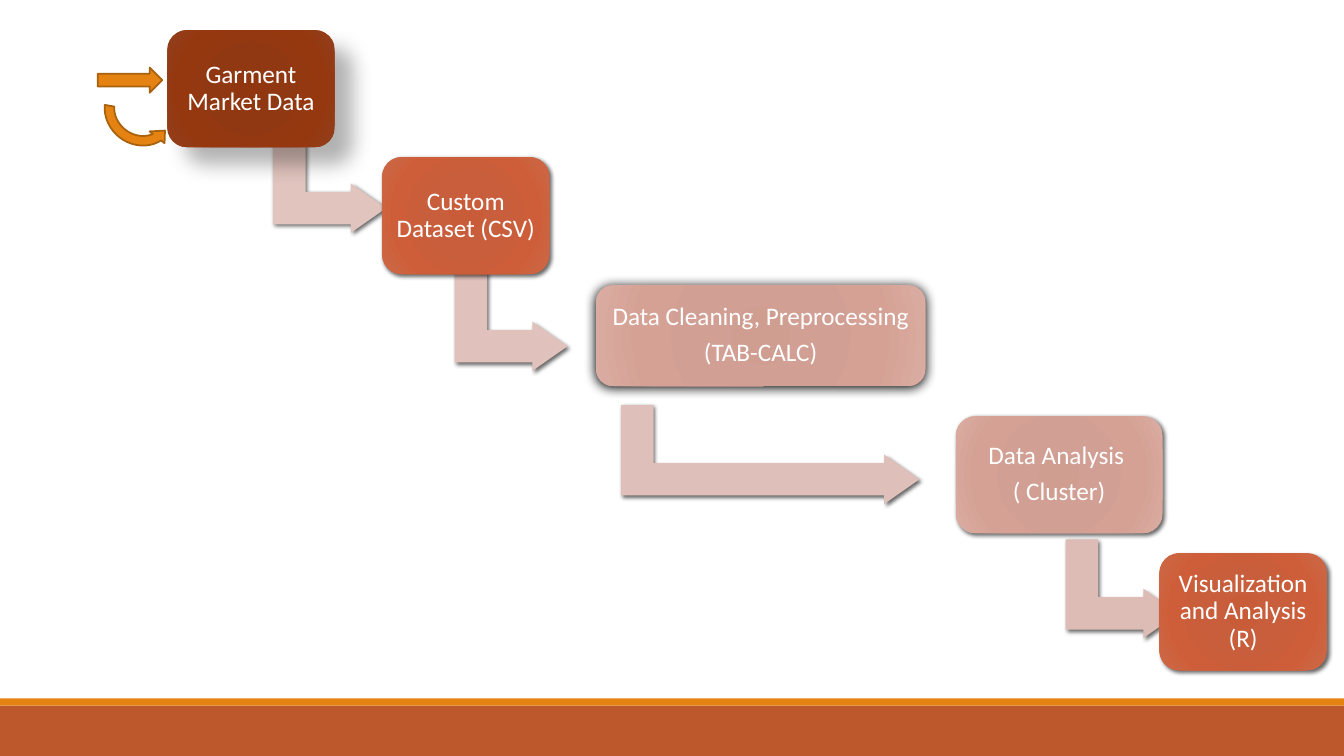
from pptx import Presentation, util as u
from pptx.dml.color import RGBColor
from pptx.enum import shapes, text
from pptx.oxml import parse_xml, ns

# Content: label lines, box (left, top, width, height), tone, shadow,
# and the arrow that leaves it (left, top, length, colour)
STEPS = [
    (["Garment Market Data"], (1.66, 0.3, 1.66, 1.16), "dark", "deep",
     (2.71, 1.33, 1.12, "E1C4BE")),
    (["Custom Dataset (CSV)"], (3.79, 1.56, 1.66, 1.16), "mid", "soft",
     (4.51, 2.7, 1.12, "E0C1BB")),
    (["Data Cleaning, Preprocessing", "(TAB-CALC)"], (5.91, 2.83, 3.27, 1),
     "pale", "glow", (6.16, 4.02, 2.96, "DFBFB9")),
    (["Data Analysis ", "( Cluster)"], (9.48, 4.13, 2.05, 1.16), "pale", "soft",
     (10.57, 5.35, 1.12, "DEBCB6")),
    (["Visualization and Analysis (R)"], (11.5, 5.49, 1.66, 1.16), "mid",
     "soft", None),
]
HEX = {"rust": "BD582C", "gold": "E48312", "edge": "A9610D", "text": "FFFFFF"}
TONES = {
    "dark": ["91370F", "903812", "953810", "913F1B"],
    "mid": ["C95C38", "C85E3B", "CE5E39", "CC6948"],
    "pale": ["D09D91", "D19F94", "D5A195", "DAACA1"],
}
STOPS = [0, 34, 70, 100]
# Shadows: opacity %, blur pt, distance pt, angle
SHADES = {"deep": (30, 15, 18, 45), "soft": (60, 3, 2, 45),
          "glow": (100, 8.5, 1, 90)}
BEND = [0.328, 0.25, 0.358]
LOOP = [0.125, 11.42, 204.58, 125.21, 0.125]
RISE = 0.98
FRAME = {"word_wrap": True, "vertical_anchor": text.MSO_ANCHOR.MIDDLE,
         **{"margin_" + side: u.Inches(0.07)
            for side in ("left", "right", "top", "bottom")}}
PARA = {"alignment": text.PP_ALIGN.CENTER, "line_spacing": 0.9,
        "space_after": u.Pt(6.3)}
FONT = {"name": "Calibri", "size": u.Pt(18)}
KIND = shapes.MSO_SHAPE

deck = Presentation()
deck.slide_width, deck.slide_height = u.Inches(13.33), u.Inches(7.5)
slide = deck.slides.add_slide(deck.slide_layouts[6])


def put(obj, vals):
    for key, val in vals.items():
        setattr(obj, key, val)


def add(kind, box, fill=None, edge=None, adj=(), turn=0):
    shape = slide.shapes.add_shape(kind, *map(u.Inches, box))
    shape.rotation = turn
    for i, val in enumerate(adj):
        shape.adjustments[i] = val
    if fill:
        shape.fill.solid()
        shape.fill.fore_color.rgb = RGBColor.from_string(fill)
    if edge:
        shape.line.color.rgb = RGBColor.from_string(edge)
        shape.line.width = u.Pt(1.25)
    else:
        shape.line.fill.background()
    shape.shadow.inherit = False
    return shape


def shade(shape, name):
    alpha, blur, dist, angle = SHADES[name]
    shape._element.spPr.find(ns.qn("a:effectLst")).append(parse_xml(
        f'<a:outerShdw {ns.nsdecls("a")} blurRad="{u.Pt(blur)}" '
        f'dist="{u.Pt(dist)}" dir="{angle * 60000}" algn="ctr" '
        f'rotWithShape="0"><a:srgbClr val="000000">'
        f'<a:alpha val="{alpha * 1000}"/></a:srgbClr></a:outerShdw>'))


def blend(shape, name):
    stops = "".join(f'<a:gs pos="{pos * 1000}"><a:srgbClr val="{tone}"/></a:gs>'
                    for pos, tone in zip(STOPS, TONES[name]))
    rect = " ".join(f'{side}="100000"' for side in "ltrb")
    shape._element.spPr.find(ns.qn("a:prstGeom")).addnext(parse_xml(
        f'<a:gradFill {ns.nsdecls("a")} rotWithShape="1"><a:gsLst>{stops}'
        f'</a:gsLst><a:path path="circle"><a:fillToRect {rect}/></a:path>'
        f'</a:gradFill>'))


def label(shape, lines):
    frame = shape.text_frame
    frame.text = "\n".join(lines)
    put(frame, FRAME)
    for para in frame.paragraphs:
        put(para, PARA)
        put(para.runs[0].font, FONT)
        para.runs[0].font.color.rgb = RGBColor.from_string(HEX["text"])


# Footer bands
add(KIND.RECTANGLE, (0, 7, 13.33, 0.5), HEX["rust"])
add(KIND.RECTANGLE, (0, 6.93, 13.33, 0.07), HEX["gold"])

# Staircase: each arrow lies under the box it leaves
for lines, box, tone, shadow, arrow in STEPS:
    if arrow:
        left, top, span, fill = arrow
        shift = (span - RISE) / 2  # a quarter turn swaps width and height
        bend = add(KIND.BENT_UP_ARROW, (left + shift, top - shift, RISE, span),
                   fill, adj=BEND, turn=90)
        shade(bend, "soft")
    card = add(KIND.ROUNDED_RECTANGLE, box, adj=[0.167])
    blend(card, tone)
    shade(card, shadow)
    label(card, lines)

# Input arrows
loop = add(KIND.CIRCULAR_ARROW, (0.98, 0.72, 0.82, 0.76), HEX["gold"],
           HEX["edge"], LOOP, 38.3)
loop._element.spPr.xfrm.set("flipV", "1")
add(KIND.RIGHT_ARROW, (0.97, 0.67, 0.64, 0.25), HEX["gold"], HEX["edge"])

deck.save("out.pptx")
